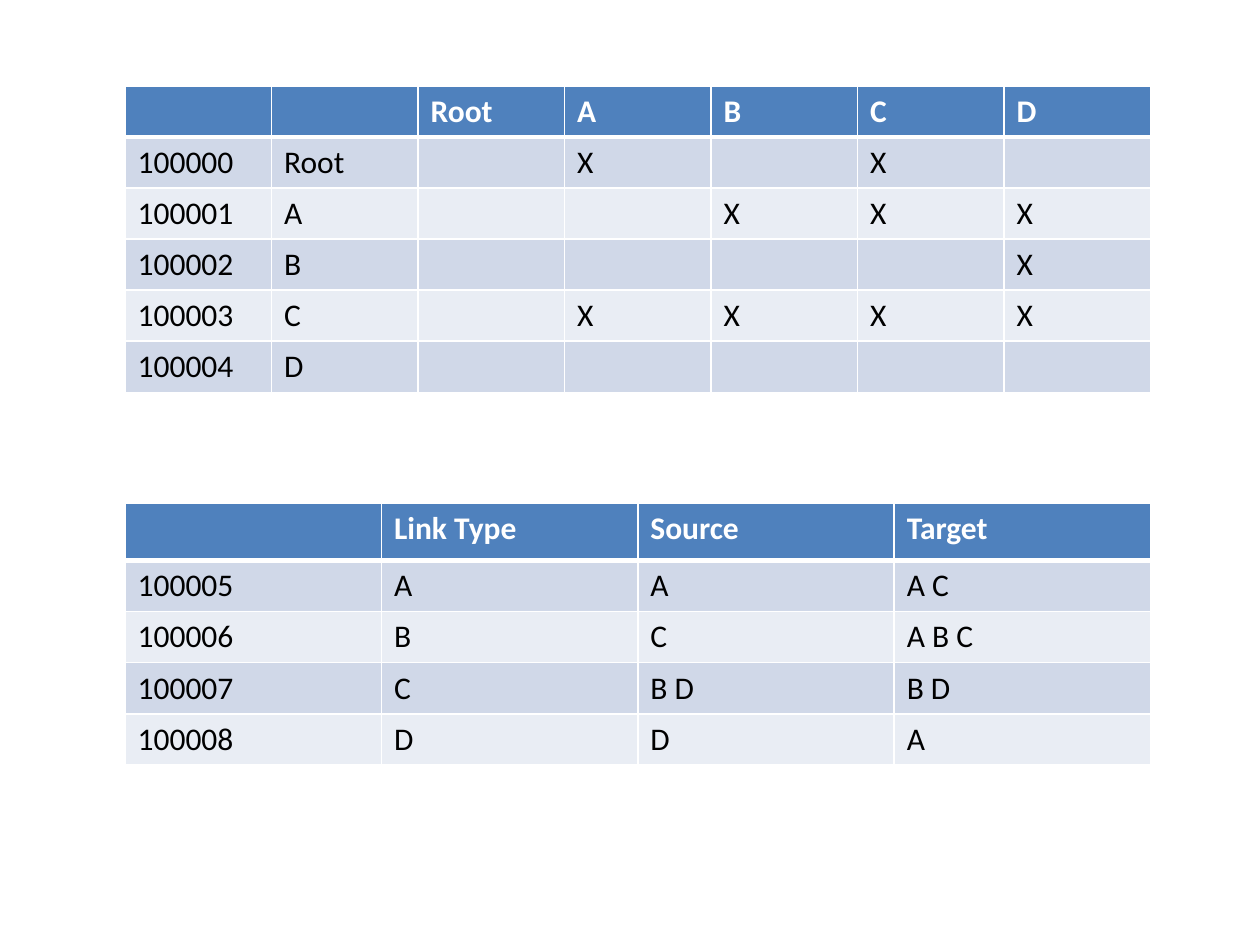
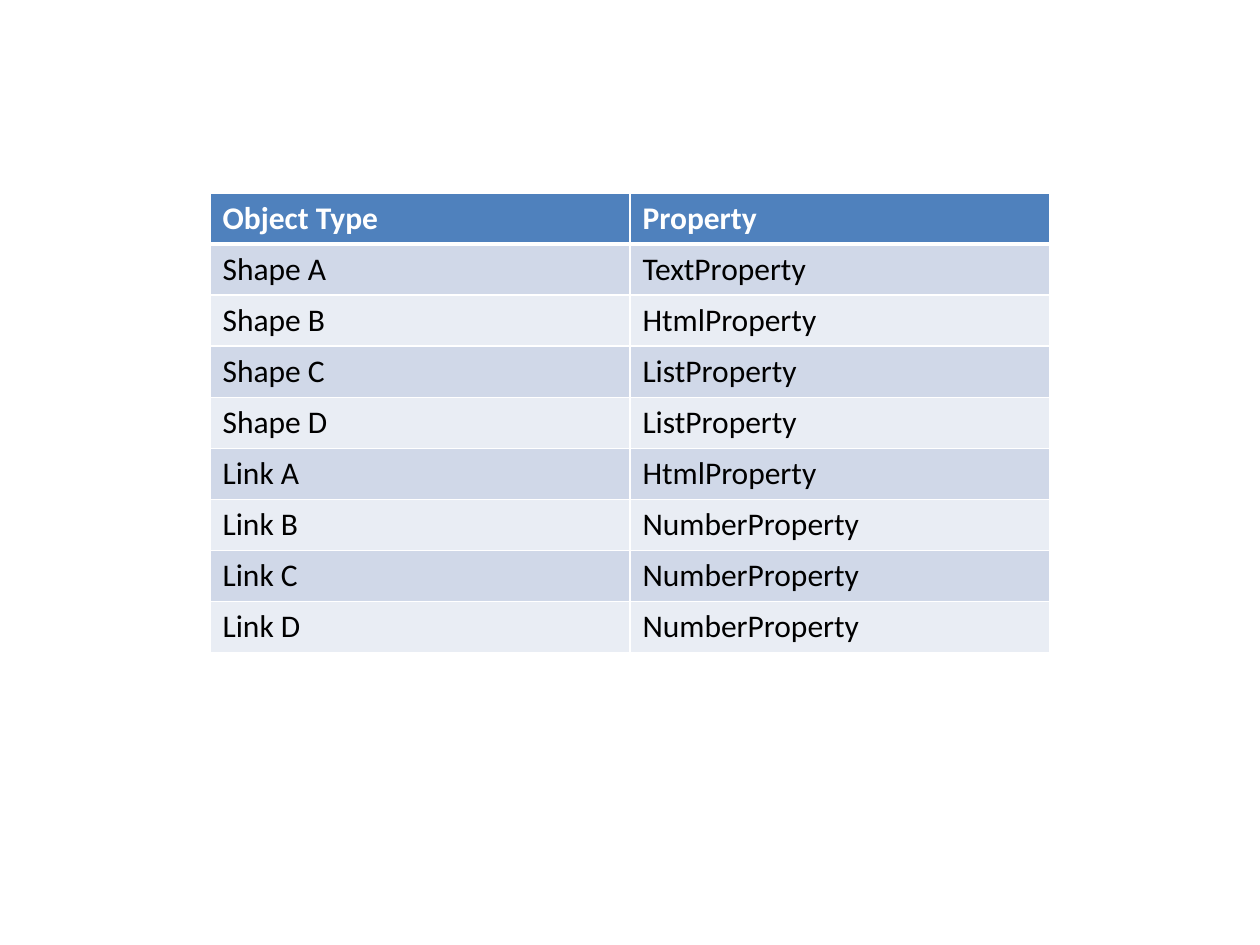
from lxml.etree import SubElement
from pptx import Presentation
from pptx.dml.color import RGBColor
from pptx.oxml.ns import qn
from pptx.util import Pt

WHITE = RGBColor(0xFF, 0xFF, 0xFF)
BLACK = RGBColor(0x00, 0x00, 0x00)
HEADER = RGBColor(0x4F, 0x81, 0xBD)
BAND_DARK = RGBColor(0xD0, 0xD8, 0xE8)
BAND_LIGHT = RGBColor(0xE9, 0xED, 0xF4)


class Deck:
    font = "Calibri"
    size = Pt(18)
    row_height = 29.2
    thin, thick = Pt(1), Pt(3)

    def __init__(self, width, height):
        self.prs = Presentation()
        self.prs.slide_width, self.prs.slide_height = Pt(width), Pt(height)
        self.slide = None

    def add_slide(self):
        self.slide = self.prs.slides.add_slide(self.prs.slide_layouts[6])

    def border(self, cell, side, width):
        ln = SubElement(cell._tc.get_or_add_tcPr(), qn(f"a:ln{side}"), w=str(width))
        fill = SubElement(ln, qn("a:solidFill"))
        SubElement(fill, qn("a:srgbClr"), val=str(WHITE))

    def style_cell(self, cell, row):
        for side in "LRTB":
            under_header = (row, side) in ((0, "B"), (1, "T"))
            self.border(cell, side, self.thick if under_header else self.thin)
        cell.fill.solid()
        band = BAND_DARK if row % 2 else BAND_LIGHT
        cell.fill.fore_color.rgb = HEADER if row == 0 else band
        font = cell.text_frame.paragraphs[0].font
        font.name, font.size, font.bold = self.font, self.size, row == 0
        font.color.rgb = WHITE if row == 0 else BLACK

    def table(self, left, top, width, rows, header_height=row_height):
        height = header_height + self.row_height * (len(rows) - 1)
        n_cols = len(rows[0])
        table = self.slide.shapes.add_table(
            len(rows), n_cols, Pt(left), Pt(top), Pt(width), Pt(height)).table
        for column in table.columns:
            column.width = Pt(width / n_cols)
        for i, values in enumerate(rows):
            table.rows[i].height = Pt(self.row_height if i else header_height)
            for j, value in enumerate(values):
                cell = table.cell(i, j)
                cell.text = value
                self.style_cell(cell, i)


NODES = ["Root", "A", "B", "C", "D"]
ALLOWED = {"Root": "AC", "A": "BCD", "B": "D", "C": "ABCD", "D": ""}
matrix = [["", ""] + NODES]
for number, node in enumerate(NODES, 100000):
    marks = ["X" if target in ALLOWED[node] else "" for target in NODES]
    matrix.append([str(number), node] + marks)

links = [
    ["", "Link Type", "Source", "Target"],
    ["100005", "A", "A", "A C"],
    ["100006", "B", "C", "A B C"],
    ["100007", "C", "B D", "B D"],
    ["100008", "D", "D", "A"],
]

properties = [
    ["Object Type", "Property"],
    ["Shape A", "TextProperty"],
    ["Shape B", "HtmlProperty"],
    ["Shape C", "ListProperty"],
    ["Shape D", "ListProperty"],
    ["Link A", "HtmlProperty"],
    ["Link B", "NumberProperty"],
    ["Link C", "NumberProperty"],
    ["Link D", "NumberProperty"],
]

deck = Deck(720, 540)

deck.add_slide()
deck.table(71.5, 49, 586, matrix)
deck.table(71.5, 287.3, 586, links, header_height=33)

deck.add_slide()
deck.table(120, 110.2, 480, properties)

deck.prs.save("out.pptx")
